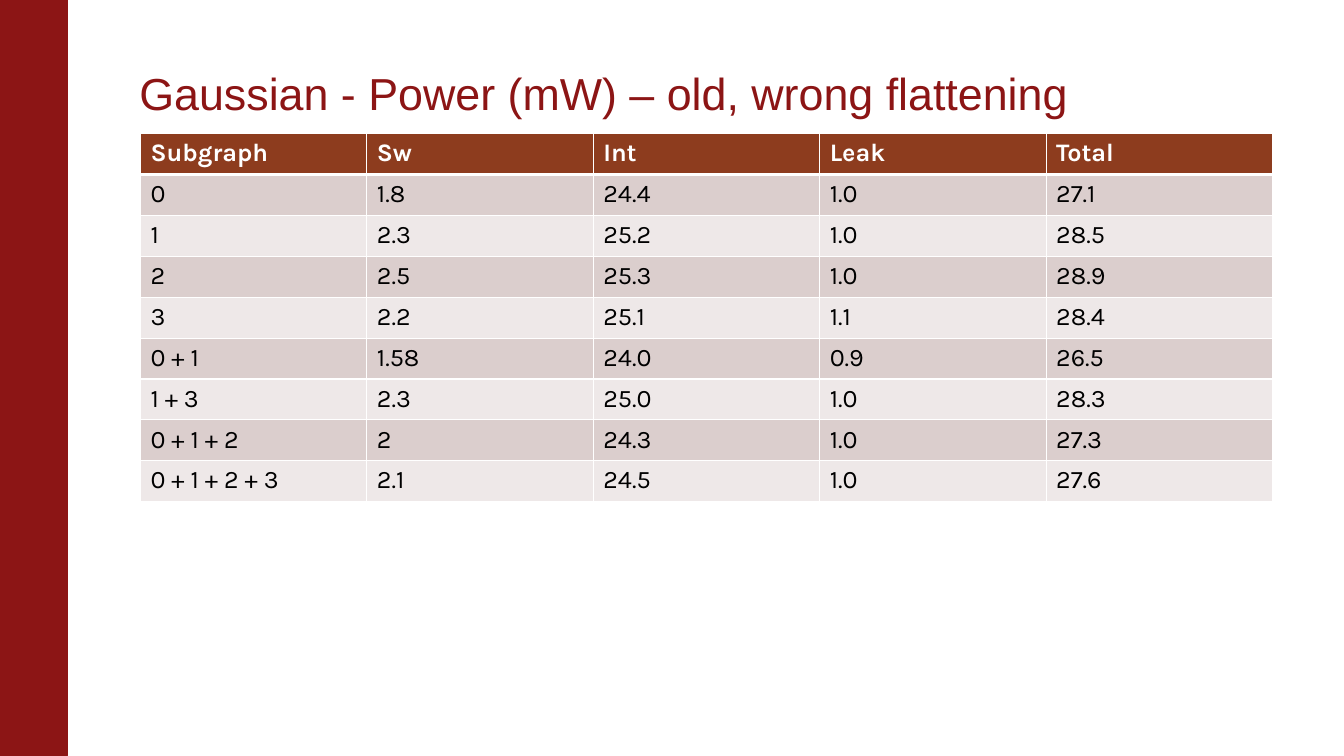
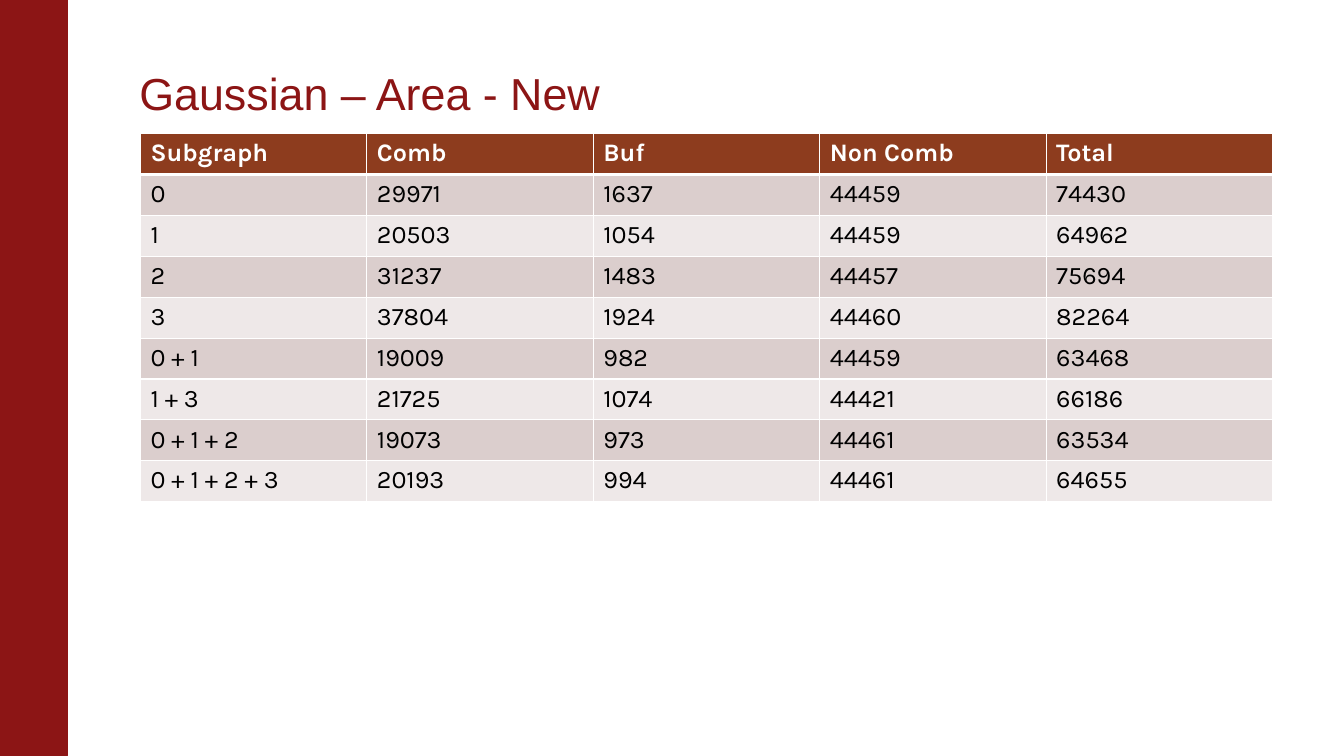
from lxml import etree
from pptx import Presentation
from pptx import util as u
from pptx.dml.color import RGBColor
from pptx.enum import shapes, text
from pptx.oxml.ns import qn

CARDINAL = RGBColor(0x8C, 0x15, 0x15)
RUST = RGBColor(0x8D, 0x3C, 0x1E)
DARK_BAND = RGBColor(0xDB, 0xCE, 0xCD)
LIGHT_BAND = RGBColor(0xEE, 0xE8, 0xE8)
WHITE = RGBColor(0xFF, 0xFF, 0xFF)
BLACK = RGBColor(0, 0, 0)

TITLE_FONT, TABLE_FONT = "Arial", "Karla"
SLIDE_WIDTH, SLIDE_HEIGHT = u.Cm(33.87), u.Cm(19.05)
SIDE_BAND_BOX = (0, 0, u.Cm(1.7), SLIDE_HEIGHT)
TITLE_BOX = (u.Cm(3.51), u.Cm(1.34), u.Cm(28.55), u.Cm(1.8))
TABLE_BOX = (u.Cm(3.54), u.Cm(3.37), u.Cm(28.53), u.Cm(9.27))

SUBGRAPHS = ["0", "1", "2", "3", "0 + 1", "1 + 3", "0 + 1 + 2", "0 + 1 + 2 + 3"]
POWER_COLUMNS = {
    "Subgraph": SUBGRAPHS,
    "Sw": ["1.8", "2.3", "2.5", "2.2", "1.58", "2.3", "2", "2.1"],
    "Int": ["24.4", "25.2", "25.3", "25.1", "24.0", "25.0", "24.3", "24.5"],
    "Leak": ["1.0", "1.0", "1.0", "1.1", "0.9", "1.0", "1.0", "1.0"],
    "Total": ["27.1", "28.5", "28.9", "28.4", "26.5", "28.3", "27.3", "27.6"],
}
AREA_COLUMNS = {
    "Subgraph": SUBGRAPHS,
    "Comb": ["29971", "20503", "31237", "37804", "19009", "21725", "19073", "20193"],
    "Buf": ["1637", "1054", "1483", "1924", "982", "1074", "973", "994"],
    "Non Comb": ["44459", "44459", "44457", "44460", "44459", "44421", "44461", "44461"],
    "Total": ["74430", "64962", "75694", "82264", "63468", "66186", "63534", "64655"],
}


def prepare_layout(layout):
    """Keep only the title placeholder on the layout."""
    for placeholder in list(layout.placeholders):
        if placeholder.placeholder_format.type != shapes.PP_PLACEHOLDER.TITLE:
            layout.shapes.element.remove(placeholder.element)


def add_side_band(presentation, layout, box):
    """Put the coloured side band on the layout, behind its placeholders."""
    slide = presentation.slides[0]
    band = slide.shapes.add_shape(shapes.MSO_SHAPE.RECTANGLE, *box)
    band.shadow.inherit = False
    band.fill.solid()
    band.fill.fore_color.rgb = CARDINAL
    band.line.color.rgb = CARDINAL
    band.line.width = u.Pt(0.75)
    layout.shapes.element.insert(2, band.element)


def format_run(run, font_name, size, color, bold=False):
    """Set the font of one run."""
    run.font.name = font_name
    run.font.size = u.Pt(size)
    run.font.color.rgb = color
    run.font.bold = bold


def fill_title(slide, title_text, box):
    """Place the title placeholder in the box and set its text."""
    title = slide.shapes.title
    title.left, title.top, title.width, title.height = box
    frame = title.text_frame
    frame.text = title_text
    frame.word_wrap = True
    frame.auto_size = text.MSO_AUTO_SIZE.NONE
    frame.vertical_anchor = text.MSO_ANCHOR.BOTTOM
    frame.margin_left = 0
    paragraph = frame.paragraphs[0]
    paragraph.alignment = text.PP_ALIGN.LEFT
    paragraph.line_spacing = 0.85
    format_run(paragraph.runs[0], TITLE_FONT, 32, CARDINAL)


def set_borders(cell, bottom):
    """Draw white cell borders; the bottom width is in points."""
    properties = cell._tc.get_or_add_tcPr()
    widths = {"a:lnL": 1, "a:lnR": 1, "a:lnT": 1, "a:lnB": bottom}
    for index, (tag, width) in enumerate(widths.items()):
        line = etree.Element(qn(tag), w=str(u.Pt(width)))
        fill = etree.SubElement(line, qn("a:solidFill"))
        etree.SubElement(fill, qn("a:srgbClr"), val=str(WHITE))
        properties.insert(index, line)


def style_cell(cell, row_index):
    """Format a cell as header or as part of a banded row."""
    is_header = row_index == 0
    cell.fill.solid()
    if is_header:
        cell.fill.fore_color.rgb = RUST
    else:
        cell.fill.fore_color.rgb = DARK_BAND if row_index % 2 else LIGHT_BAND
    set_borders(cell, bottom=3 if is_header else 1)
    run = cell.text_frame.paragraphs[0].runs[0]
    format_run(run, TABLE_FONT, 18, WHITE if is_header else BLACK, is_header)


def add_data_table(slide, columns, box):
    """Fill the box with an even grid: one table column per named list."""
    rows = [list(columns), *zip(*columns.values())]
    table = slide.shapes.add_table(len(rows), len(columns), *box).table
    for row_index, values in enumerate(rows):
        for column_index, value in enumerate(values):
            cell = table.cell(row_index, column_index)
            cell.text = value
            style_cell(cell, row_index)


def add_table_slide(presentation, layout, title_text, columns):
    """Add a slide with a title above a data table."""
    slide = presentation.slides.add_slide(layout)
    fill_title(slide, title_text, TITLE_BOX)
    add_data_table(slide, columns, TABLE_BOX)


def main():
    """Build and save the presentation."""
    presentation = Presentation()
    presentation.slide_width = SLIDE_WIDTH
    presentation.slide_height = SLIDE_HEIGHT
    layout = presentation.slide_layouts.get_by_name("Title Only")
    prepare_layout(layout)
    add_table_slide(presentation, layout,
                    "Gaussian - Power (mW) – old, wrong flattening", POWER_COLUMNS)
    add_table_slide(presentation, layout, "Gaussian – Area - New", AREA_COLUMNS)
    add_side_band(presentation, layout, SIDE_BAND_BOX)
    presentation.save("out.pptx")


main()
